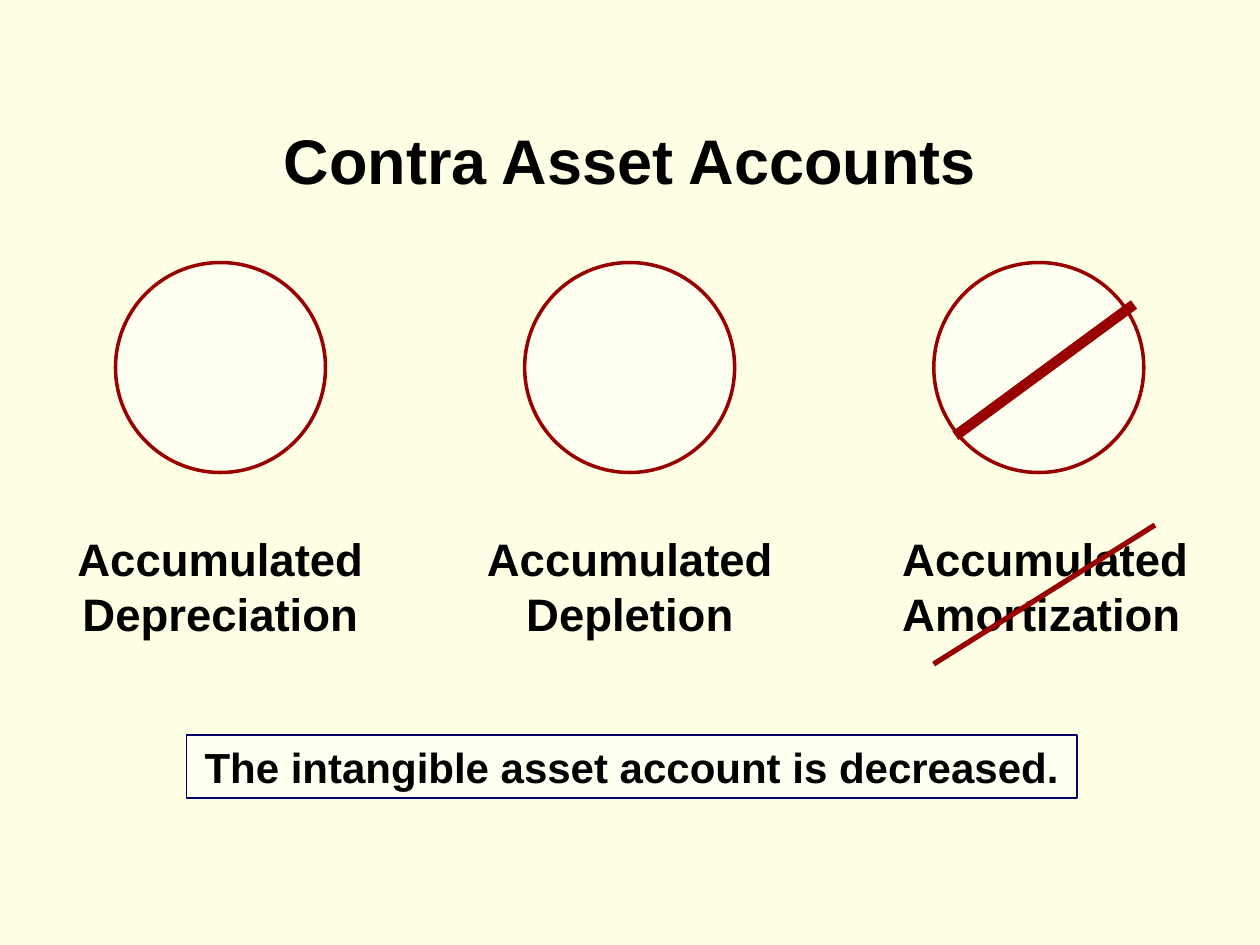
from pptx import Presentation
from pptx.dml.color import RGBColor
from pptx.enum.shapes import MSO_CONNECTOR, MSO_SHAPE
from pptx.enum.text import MSO_ANCHOR, PP_ALIGN
from pptx.oxml.ns import qn
from pptx.util import Pt
from lxml import etree

CREAM = RGBColor(0xFF, 0xFF, 0xE5)
WHITE = RGBColor(0xFF, 0xFF, 0xFF)
BLACK = RGBColor(0x00, 0x00, 0x00)
RED = RGBColor(0x99, 0x00, 0x00)
NAVY = RGBColor(0x00, 0x00, 0x66)

OVAL, RECTANGLE = MSO_SHAPE.OVAL, MSO_SHAPE.RECTANGLE
STRAIGHT = MSO_CONNECTOR.STRAIGHT
LEFT, CENTER = PP_ALIGN.LEFT, PP_ALIGN.CENTER
TOP = MSO_ANCHOR.TOP
TITLE_ONLY = 5


class SlideBuilder:
    font = "Arial"

    def __init__(self, presentation):
        self.slide = presentation.slides.add_slide(presentation.slide_layouts[TITLE_ONLY])
        fill = self.slide.background.fill
        fill.solid()
        fill.fore_color.rgb = CREAM

    def set_text(self, shape, lines, size, align=CENTER):
        frame = shape.text_frame
        frame.word_wrap = True
        frame.vertical_anchor = TOP
        paragraph = frame.paragraphs[0]
        paragraph.alignment = align
        for index, line in enumerate(lines):
            if index:
                paragraph.add_line_break()
            run = paragraph.add_run()
            run.text = line
            run.font.name = self.font
            run.font.size = Pt(size)
            run.font.bold = True
            run.font.color.rgb = BLACK

    def title(self, text, left, top, width, height, size):
        shape = self.slide.shapes.title
        shape.left, shape.top = Pt(left), Pt(top)
        shape.width, shape.height = Pt(width), Pt(height)
        self.set_text(shape, [text], size)

    def label(self, lines, left, top, width, height, size, align=CENTER):
        box = self.slide.shapes.add_textbox(Pt(left), Pt(top), Pt(width), Pt(height))
        self.set_text(box, lines, size, align)

    def panel(self, kind, left, top, width, height, color, weight):
        """Add a half-transparent white shape with a coloured outline."""
        shape = self.slide.shapes.add_shape(kind, Pt(left), Pt(top), Pt(width), Pt(height))
        shape.shadow.inherit = False
        shape.fill.solid()
        shape.fill.fore_color.rgb = WHITE
        white = shape._element.spPr.find(qn("a:solidFill"))[0]
        etree.SubElement(white, qn("a:alpha")).set("val", "50000")
        shape.line.color.rgb = color
        shape.line.width = Pt(weight)
        return shape

    def strike(self, x1, y1, x2, y2, weight):
        line = self.slide.shapes.add_connector(STRAIGHT, Pt(x1), Pt(y1), Pt(x2), Pt(y2))
        line.line.color.rgb = RED
        line.line.width = Pt(weight)
        etree.SubElement(line._element.spPr, qn("a:effectLst"))


def main():
    presentation = Presentation()
    presentation.slide_width, presentation.slide_height = Pt(720), Pt(540)
    builder = SlideBuilder(presentation)

    builder.title("Contra Asset Accounts", 33, 66, 654, 50, 36)

    # One circle and label per contra account
    accounts = [
        (["Accumulated Depreciation"], 36, CENTER),
        (["Accumulated Depletion"], 270, CENTER),
        (["Accumulated", "Amortization"], 508.5, LEFT),
    ]
    for column, (lines, label_left, align) in enumerate(accounts):
        builder.panel(OVAL, 66 + 233.8 * column, 150, 120, 120, RED, 2)
        builder.label(lines, label_left, 300, 180, 70, 26, align)

    # Strike out the account that is not used
    builder.strike(546, 249, 648, 174, 6)
    builder.strike(533.5, 379.5, 660, 300, 3)

    # Conclusion
    conclusion = builder.panel(RECTANGLE, 106.5, 420, 509, 36, NAVY, 0.75)
    builder.set_text(conclusion, ["The intangible asset account is decreased."], 24)

    presentation.save("out.pptx")


if __name__ == "__main__":
    main()
